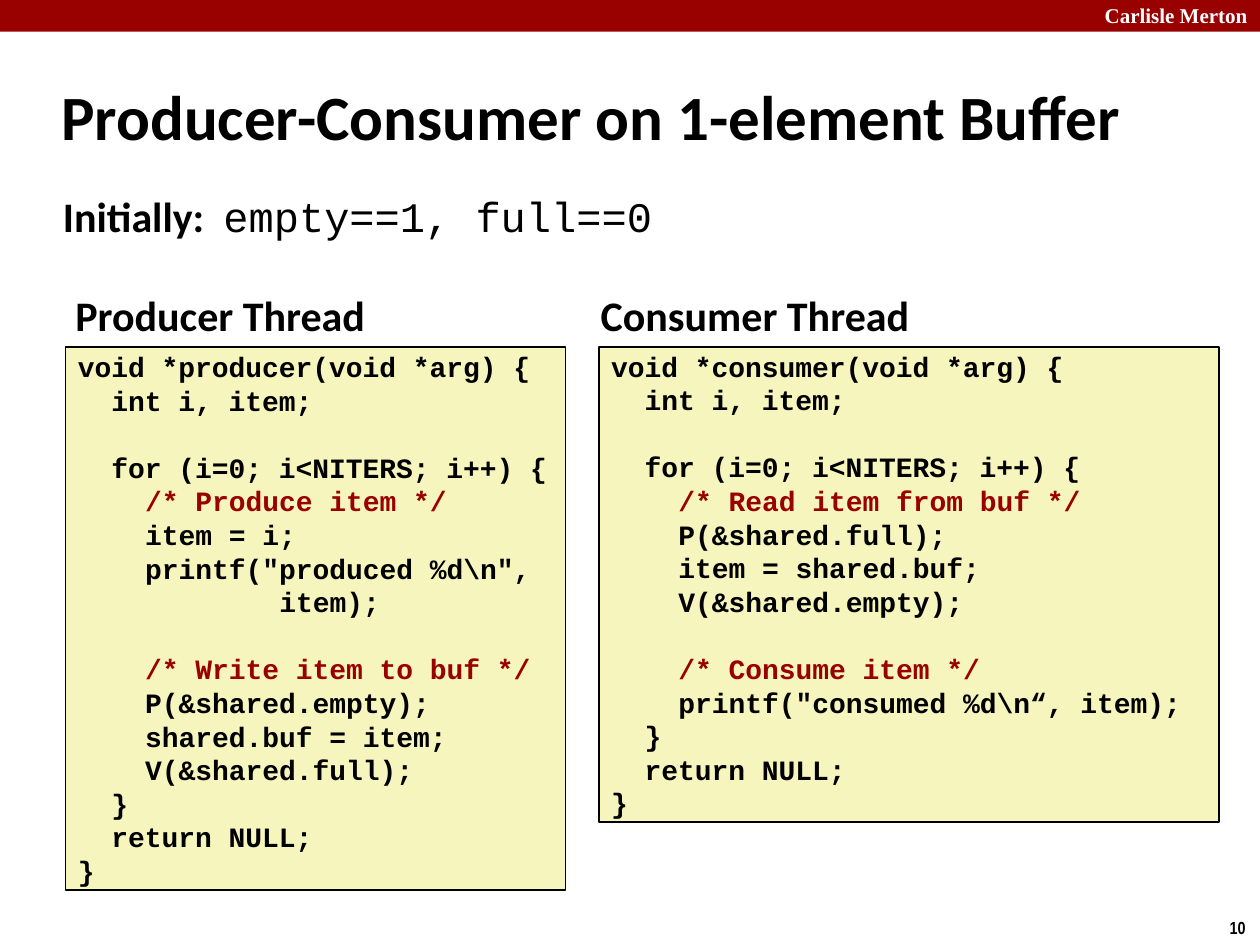
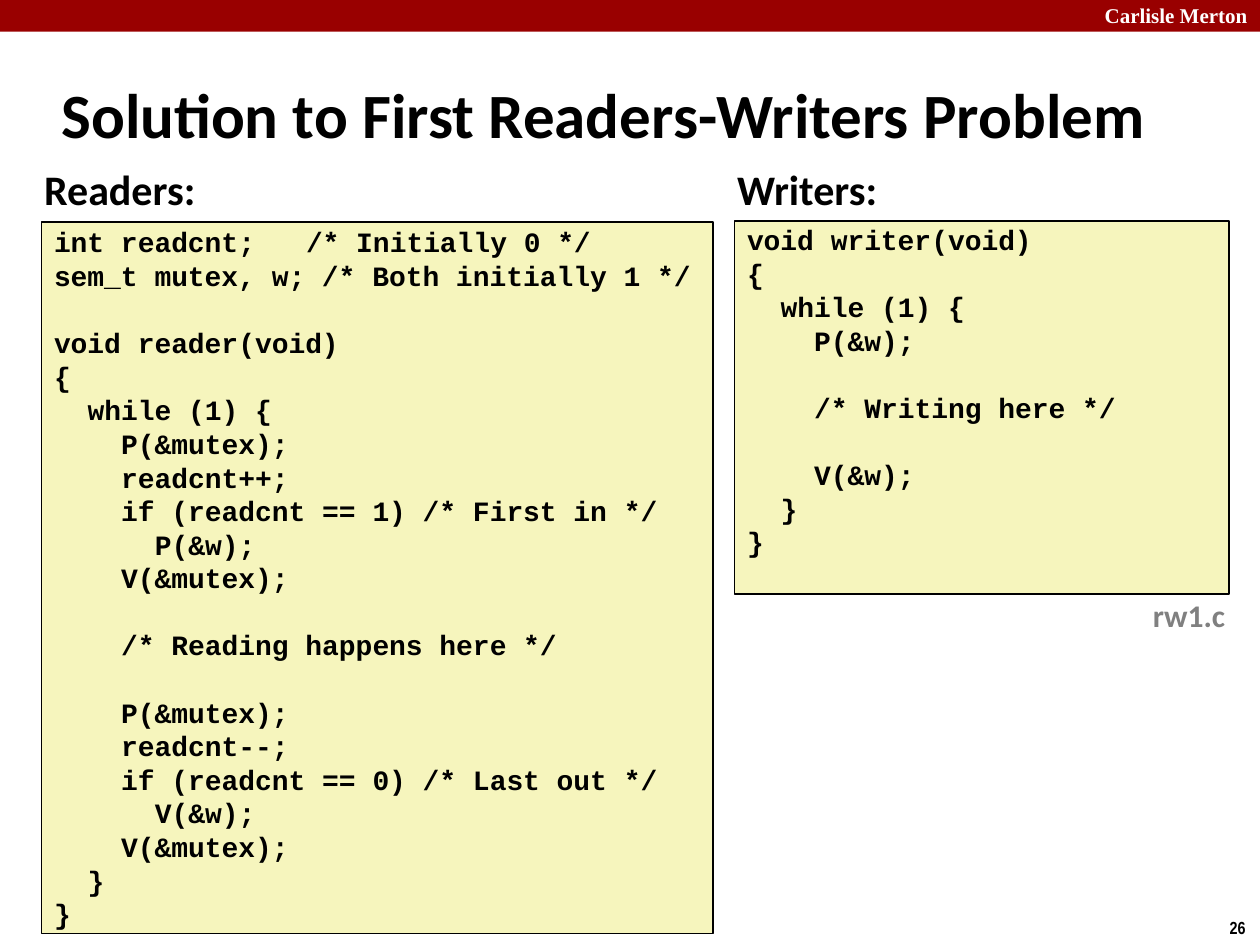
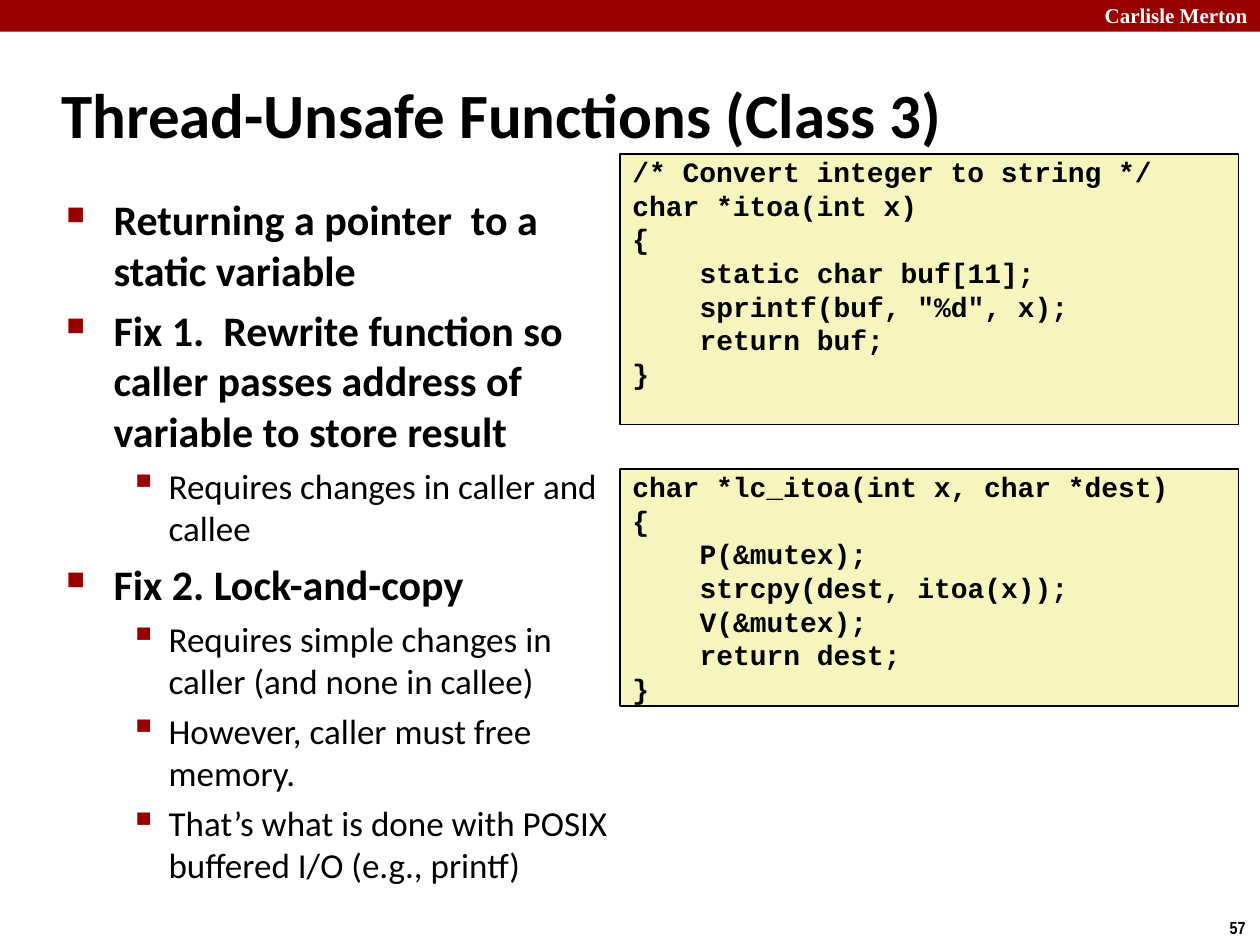
import pptx
import pptx.dml.color
import pptx.enum.shapes
import pptx.enum.text
import pptx.oxml
import pptx.oxml.ns
import pptx.util
from pptx.util import Cm

Pt = pptx.util.Pt
ALIGN = pptx.enum.text.PP_ALIGN
ANCHOR = pptx.enum.text.MSO_ANCHOR

PRODUCER = r"""void *producer(void *arg) {
  int i, item;

  for (i=0; i<NITERS; i++) {
    /* Produce item */
    item = i;
    printf("produced %d\n",
            item);

    /* Write item to buf */
    P(&shared.empty);
    shared.buf = item;
    V(&shared.full);
  }
  return NULL;
}"""

CONSUMER = r"""void *consumer(void *arg) {
  int i, item;

  for (i=0; i<NITERS; i++) {
    /* Read item from buf */
    P(&shared.full);
    item = shared.buf;
    V(&shared.empty);

    /* Consume item */
    printf("consumed %d\n“, item);
  }
  return NULL;
}"""

READER = """int readcnt;    /* Initially 0 */
sem_t mutex, w; /* Both initially 1 */

void reader(void)
{
  while (1) {
    P(&mutex);
    readcnt++;
    if (readcnt == 1) /* First in */
      P(&w);
    V(&mutex);

    /* Reading happens here */

    P(&mutex);
    readcnt--;
    if (readcnt == 0) /* Last out */
      V(&w);
    V(&mutex);
  }
}"""

WRITER = """void writer(void)
{
  while (1) {
    P(&w);

    /* Writing here */

    V(&w);
  }
}"""

ITOA = """/* Convert integer to string */
char *itoa(int x)
{
    static char buf[11];
    sprintf(buf, "%d", x);
    return buf;
}"""

LC_ITOA = """char *lc_itoa(int x, char *dest)
{
    P(&mutex);
    strcpy(dest, itoa(x));
    V(&mutex);
    return dest;
}"""

UNSAFE_POINTS = [
    (0, "Returning a pointer  to a static variable"),
    (0, "Fix 1.  Rewrite function so caller passes address of variable to store result"),
    (1, "Requires changes in caller and callee"),
    (0, "Fix 2. Lock-and-copy"),
    (1, "Requires simple changes in caller (and none in callee)"),
    (1, "However, caller must free memory."),
    (1, "That’s what is done with POSIX buffered I/O (e.g., printf)"),
]


def rgb(value):
    return pptx.dml.color.RGBColor.from_string(value)


def add_run(paragraph, text, size=24, font="Calibri", color="000000", bold=True):
    run = paragraph.add_run()
    run.text = text
    run.font.size = Pt(size)
    run.font.name = font
    run.font.bold = bold
    run.font.color.rgb = rgb(color)


def add_property(paragraph, xml):
    namespace = pptx.oxml.ns.nsdecls("a")
    element = pptx.oxml.parse_xml(xml.replace("/>", f" {namespace}/>", 1)
                                  if xml.count("<") == 1
                                  else xml.replace(">", f" {namespace}>", 1))
    paragraph._p.get_or_add_pPr().append(element)


def set_indent(paragraph, left, first=0):
    properties = paragraph._p.get_or_add_pPr()
    properties.set("marL", str(int(left)))
    properties.set("indent", str(int(first)))


class Deck:
    RED = "990000"
    BLACK = "000000"
    CODE_FILL = "F6F5BD"
    CODE_FONT = "Courier New"
    CODE_SIZE = 16
    CODE_PITCH = Pt(19.2)
    CODE_COLUMN = Pt(9.6)
    BULLETS = [
        dict(mark="■", scale=60000, size=24, bold=True, left=Cm(0.95), hang=Cm(0.95)),
        dict(mark="▪", scale=110000, size=20, bold=False, left=Cm(2.06), hang=Cm(0.79)),
    ]

    def __init__(self):
        self.presentation = pptx.Presentation()
        self.presentation.slide_width = Cm(25.4)
        self.presentation.slide_height = Cm(19.05)
        self.slide = None

    def add_slide(self, title, number, title_top=1.22):
        self.slide = self.presentation.slides.add_slide(self.presentation.slide_layouts[6])
        self.rectangle(0, 0, 25.4, 0.64, self.RED)
        self.label("Carlisle Merton", 21.95, -0.08, 3.45, 0.76, align=ALIGN.RIGHT,
                   size=12, font="Times New Roman", color="FFFFFF")
        self.label(str(number), 24.54, 18.36, 0.86, 0.69, size=10, font="Arial Narrow")
        self.label(title, 0.99, title_top, 23.77, 2.11, anchor=ANCHOR.MIDDLE,
                   wrap=True, size=36)

    def rectangle(self, left, top, width, height, fill, line=None):
        shape = self.slide.shapes.add_shape(
            pptx.enum.shapes.MSO_SHAPE.RECTANGLE,
            Cm(left), Cm(top), Cm(width), Cm(height))
        shape.shadow.inherit = False
        shape.fill.solid()
        shape.fill.fore_color.rgb = rgb(fill)
        if line:
            shape.line.color.rgb = rgb(line)
            shape.line.width = Pt(1)
        else:
            shape.line.fill.background()
        return shape

    def text_frame(self, left, top, width, height, anchor=ANCHOR.TOP, wrap=True):
        box = self.slide.shapes.add_textbox(Cm(left), Cm(top), Cm(width), Cm(height))
        box.text_frame.word_wrap = wrap
        box.text_frame.vertical_anchor = anchor
        return box.text_frame

    def label(self, text, left, top, width, height=1.27, anchor=ANCHOR.TOP,
              wrap=False, align=ALIGN.LEFT, **text_format):
        frame = self.text_frame(left, top, width, height, anchor, wrap)
        paragraph = frame.paragraphs[0]
        paragraph.alignment = align
        add_run(paragraph, text, **text_format)
        return paragraph

    def code(self, source, left, top, width, height, comment=BLACK, spare_lines=0):
        shape = self.rectangle(left, top, width, height, self.CODE_FILL, self.BLACK)
        frame = shape.text_frame
        frame.word_wrap = True
        frame.vertical_anchor = ANCHOR.MIDDLE
        frame.margin_top = 0
        frame.margin_bottom = spare_lines * self.CODE_PITCH
        paragraph = frame.paragraphs[0]
        blank_lines = 0
        for line in source.split("\n"):
            if not line:
                blank_lines += 1
                continue
            if paragraph.runs:
                paragraph = frame.add_paragraph()
            self.code_line(paragraph, line, blank_lines, comment)
            blank_lines = 0

    def code_line(self, paragraph, line, blank_lines, comment):
        statement = line.lstrip()
        paragraph.alignment = ALIGN.LEFT
        paragraph.line_spacing = self.CODE_PITCH
        paragraph.space_before = blank_lines * self.CODE_PITCH
        set_indent(paragraph, (len(line) - len(statement)) * self.CODE_COLUMN)
        before, gap, after = statement.partition("    ")
        if gap:
            position = line.index(after) * self.CODE_COLUMN
            add_property(paragraph, f'<a:tabLst><a:tab pos="{position}" algn="l"/></a:tabLst>')
            statement = f"{before}\t{after}"
        color = comment if statement.startswith("/*") else self.BLACK
        add_run(paragraph, statement, size=self.CODE_SIZE, font=self.CODE_FONT, color=color)

    def bullets(self, points, left, top, width, height):
        frame = self.text_frame(left, top, width, height)
        for index, (level, text) in enumerate(points):
            style = self.BULLETS[level]
            paragraph = frame.add_paragraph() if index else frame.paragraphs[0]
            paragraph.level = level
            paragraph.space_before = Pt(style["size"] * 0.24)
            set_indent(paragraph, style["left"], -style["hang"])
            add_property(paragraph, f'<a:buClr><a:srgbClr val="{self.RED}"/></a:buClr>')
            add_property(paragraph, f'<a:buSzPct val="{style["scale"]}"/>')
            add_property(paragraph, f'<a:buChar char="{style["mark"]}"/>')
            add_run(paragraph, text, size=style["size"], bold=style["bold"])


def producer_consumer(deck):
    deck.add_slide("Producer-Consumer on 1-element Buffer", 10, title_top=1.27)
    deck.code(PRODUCER, 1.32, 6.99, 10.08, 10.95, comment=deck.RED)
    deck.code(CONSUMER, 12.07, 6.99, 12.5, 9.58, comment=deck.RED)
    initially = deck.label("Initially:  ", 1.02, 3.84, 12.5, 1.02, anchor=ANCHOR.MIDDLE)
    add_run(initially, "empty==1, full==0", font=deck.CODE_FONT, bold=False)
    deck.label("Producer Thread", 1.27, 5.72, 6.4)
    deck.label("Consumer Thread", 11.86, 5.72, 6.78)


def readers_writers(deck):
    deck.add_slide("Solution to First Readers-Writers Problem", 26)
    deck.code(READER, 0.84, 4.47, 13.54, 14.35)
    deck.code(WRITER, 14.81, 4.45, 9.96, 7.52, spare_lines=1)
    deck.label("Readers:", 0.64, 3.18, 3.58)
    deck.label("Writers:", 14.61, 3.18, 3.35)
    deck.label("rw1.c", 22.99, 11.89, 1.98, 1.02, size=18, color="808080")


def thread_unsafe(deck):
    deck.add_slide("Thread-Unsafe Functions (Class 3)", 57)
    deck.bullets(UNSAFE_POINTS, 1.09, 3.78, 11.81, 12.93)
    deck.code(LC_ITOA, 12.5, 9.45, 12.47, 4.78)
    deck.code(ITOA, 12.5, 3.1, 12.47, 5.46, spare_lines=1)


def main():
    deck = Deck()
    producer_consumer(deck)
    readers_writers(deck)
    thread_unsafe(deck)
    deck.presentation.save("out.pptx")


if __name__ == "__main__":
    main()
